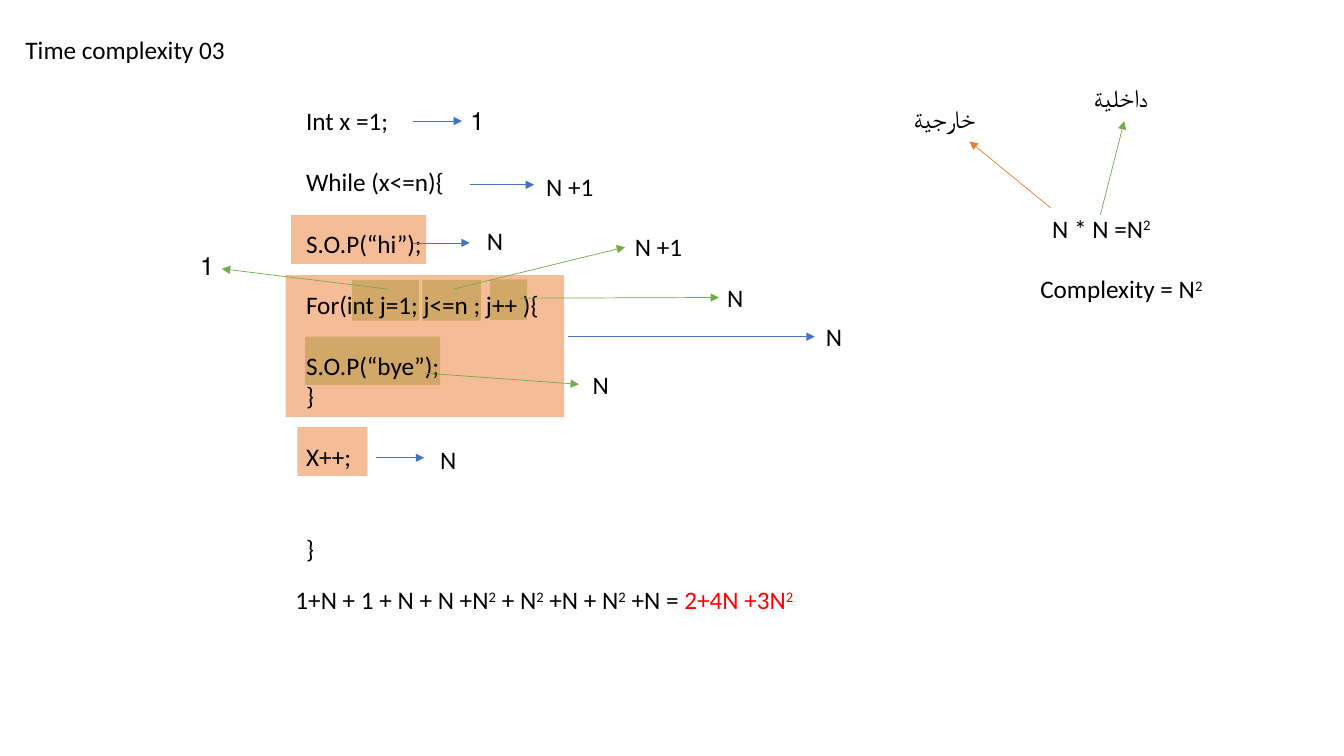
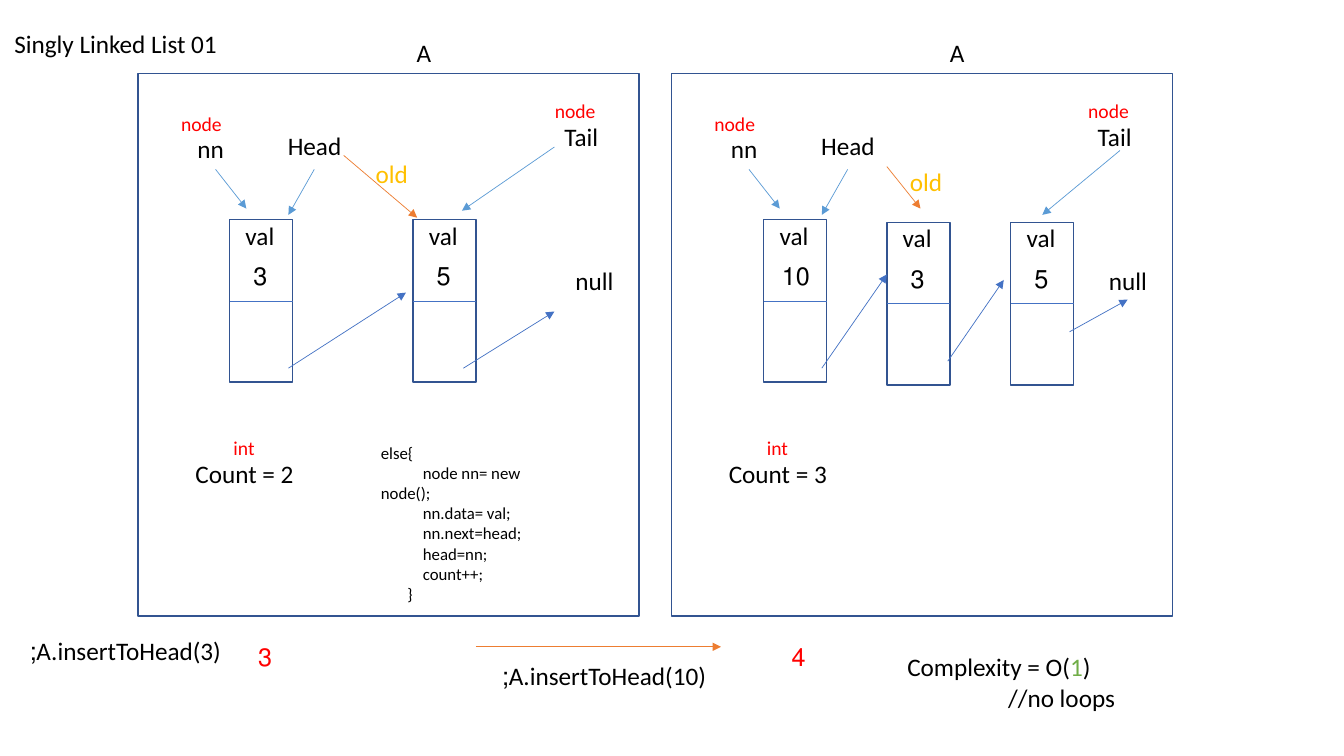
"""Builds two lecture slides: time complexity and insertion in a linked list."""
from lxml import etree
from pptx import Presentation
from pptx.dml.color import RGBColor
from pptx.enum.shapes import MSO_CONNECTOR, MSO_SHAPE
from pptx.enum.text import MSO_ANCHOR, MSO_AUTO_SIZE, PP_ALIGN
from pptx.oxml.ns import qn
from pptx.util import Pt

STRAIGHT = MSO_CONNECTOR.STRAIGHT
RECTANGLE = MSO_SHAPE.RECTANGLE
TOP = MSO_ANCHOR.TOP
GROW = MSO_AUTO_SIZE.SHAPE_TO_FIT_TEXT
NO_FIT = MSO_AUTO_SIZE.NONE
LEFT, RIGHT = PP_ALIGN.LEFT, PP_ALIGN.RIGHT

FONT = "Calibri"
BLACK, RED, WHITE, GOLD = "000000", "FF0000", "FFFFFF", "FFC000"
GREEN, ORANGE, BLUE, SKY, NAVY = "70AD47", "ED7D31", "4472C4", "5B9BD5", "325491"
LINE_HEIGHT = 29

HIGHLIGHTS = [
    (GREEN, (218, 240.5, 96.5, 34.5)),
    (GREEN, (350, 199.5, 26.5, 29)),
    (GREEN, (301.5, 200, 42, 29)),
    (GREEN, (251.5, 200, 48, 29)),
    (ORANGE, (212.5, 305, 50, 35)),
    (ORANGE, (208, 153.5, 96.5, 35)),
    (ORANGE, (204, 196.5, 199, 101.5)),
]
LOOP_CODE = [
    ("Int x =1;", 0),
    ("While (x<=n){", 22),
    ("S.O.P(“hi”);", 22),
    ("For(int j=1; j<=n ; j++ ){", 22),
    ("S.O.P(“bye”);", 22),
    ("}", 0),
    ("X++;", 22),
    ("}", 44),
]
COST_ARROWS = [
    (BLUE, (295, 86.5, 330, 86.5)),
    (BLUE, (335.5, 132, 381.5, 132)),
    (BLUE, (295, 173.5, 335.5, 173.5)),
    (BLUE, (406, 240.5, 582, 240.5)),
    (BLUE, (268.5, 327, 303, 327)),
    (GREEN, (277, 206.5, 158.5, 192)),
    (GREEN, (324, 206.5, 446.5, 176.5)),
    (GREEN, (371.5, 213, 513.5, 212.5)),
    (GREEN, (303, 266.5, 413.5, 274.5)),
    (GREEN, (786, 153.5, 803, 86.5)),
    (ORANGE, (750.5, 148.5, 692.5, 101)),
]
COST_LABELS = [
    ("1", (307.5, 72, 45.5)),
    ("N +1", (361, 119, 70)),
    ("N", (330, 157.5, 36.5)),
    ("N", (276, 314, 57)),
    ("1", (120, 175.5, 40)),
    ("N", (503.5, 198, 34.5)),
    ("N", (399.5, 260.5, 42.5)),
    ("N", (584.5, 226, 24)),
    ("خارجية", (631.5, 70.5, 72)),
    ("داخلية", (745, 55.5, 82)),
]
SQUARE = ("2", BLACK, True)
FORMULAS = [
    ("N * N =N", (744.5, 148.5, 118), [SQUARE]),
    ("Complexity = N", (736, 192, 172), [SQUARE]),
    ("1+N + 1 + N + N +N", (204, 414, 384.5), [
        SQUARE, (" + N", BLACK, False), SQUARE, (" +N + N", BLACK, False), SQUARE,
        (" +N = ", BLACK, False), ("2+4N +3N", RED, False), ("2", RED, True)]),
]

PANEL = (98.5, 52.5, 358, 387.5)
PANEL_STEP = 381
PANEL_LABELS = [
    ("nn", (134, 92, 78), 18, BLACK, False),
    ("Tail", (396, 83, 50), 18, BLACK, False),
    ("Head", (198.5, 89.5, 78), 18, BLACK, False),
    ("null", (404, 186, 52), 18, BLACK, False),
    ("A", (273, 23, 42), 18, BLACK, True),
    ("node", (121, 76.5, 44.5), 14, RED, True),
    ("node", (388, 67, 44.5), 14, RED, True),
    ("int", (144.5, 308, 44.5), 14, RED, True),
]
PANEL_ARROWS = [(154, 121, 176, 149), (224.5, 121, 206, 153.5)]
COUNTS = [("Count = 2", "3"), ("Count = 3", "4")]
CELLS = [
    (164, 157, "3"), (295, 157, "5"),
    (545.5, 157, "10"), (633.5, 159, "3"), (722, 159, "5"),
]
LIST_ARROWS = [
    (SKY, (396, 105, 330, 150.5)),
    (SKY, (800, 107.5, 744.5, 153.5)),
    (BLUE, (206, 263, 290, 209)),
    (BLUE, (331, 263, 396, 222.5)),
    (BLUE, (587, 263, 633.5, 196)),
    (BLUE, (677, 258, 717, 200)),
    (BLUE, (764, 237, 805.5, 214)),
    (ORANGE, (245.5, 111, 298, 155.5)),
    (ORANGE, (633.5, 119, 657.5, 149)),
    (ORANGE, (340, 462, 515, 462)),
]
LIST_LABELS = [
    ("old", (256.5, 109.5, 42), GOLD),
    ("old", (638, 115, 42), GOLD),
    ("A.insertToHead(3);", (-3, 450.5, 168), BLACK),
    ("A.insertToHead(10);", (343.5, 468, 168), BLACK),
]
INSERT_CODE = [
    ("else{", 0),
    ("node nn= new node();", 30),
    ("nn.data= val;", 30),
    ("nn.next=head;", 30),
    ("head=nn;", 30),
    ("count++;", 30),
    ("}", 19),
]


def rgb(value):
    return RGBColor.from_string(value)


def style_span(span, size, colour):
    span.font.name = FONT
    span.font.size = Pt(size)
    span.font.color.rgb = rgb(colour)


def fill_frame(frame, text, size, colour, right_to_left):
    frame.text = text
    frame.word_wrap = True
    frame.vertical_anchor = TOP
    for para in frame.paragraphs:
        para.alignment = RIGHT if right_to_left else LEFT
        if right_to_left:
            para._p.get_or_add_pPr().set("rtl", "1")
        for span in para.runs:
            style_span(span, size, colour)


def add_text(page, place, text, size=18, colour=BLACK, right_to_left=False):
    left, top, width = place
    box = page.shapes.add_textbox(Pt(left), Pt(top), Pt(width), Pt(LINE_HEIGHT))
    fill_frame(box.text_frame, text, size, colour, right_to_left)
    box.text_frame.auto_size = GROW
    return box.text_frame


def add_spans(para, parts):
    for text, colour, raised in parts:
        span = para.add_run()
        span.text = text
        style_span(span, 18, colour)
        if raised:
            span._r.get_or_add_rPr().set("baseline", "30000")


def indent_first_line(para, indent):
    properties = para._p.get_or_add_pPr()
    properties.set("marL", "0")
    properties.set("indent", str(Pt(indent)))


def add_box(page, place, fill=None, line=None, alpha=None):
    box = page.shapes.add_shape(RECTANGLE, *map(Pt, place))
    box.shadow.inherit = False
    if fill:
        box.fill.solid()
        box.fill.fore_color.rgb = rgb(fill)
    else:
        box.fill.background()
    if line:
        box.line.color.rgb = rgb(line)
        box.line.width = Pt(1)
    else:
        box.line.fill.background()
    if alpha:
        colour = box._element.spPr.find(qn("a:solidFill"))[0]
        etree.SubElement(colour, qn("a:alpha")).set("val", str(alpha * 1000))
    return box


def add_line(page, ends, colour, arrow=True):
    line = page.shapes.add_connector(STRAIGHT, *map(Pt, ends))
    line.line.color.rgb = rgb(colour)
    line.line.width = Pt(0.5)
    if arrow:
        etree.SubElement(line.line._get_or_add_ln(), qn("a:tailEnd")).set("type", "triangle")
    etree.SubElement(line._element.spPr, qn("a:effectLst"))
    return line


def add_page(deck, title, left, top):
    page = deck.slides.add_slide(deck.slide_layouts[5])
    heading = page.shapes.title
    heading.left, heading.top = Pt(left), Pt(top)
    heading.width, heading.height = Pt(193), Pt(LINE_HEIGHT)
    fill_frame(heading.text_frame, title, 18, BLACK, False)
    heading.text_frame.auto_size = NO_FIT
    return page


def add_cell(page, left, top, value):
    width, height = 45, 116
    middle = top + height / 2
    cell = add_box(page, (left, top, width, height), WHITE, NAVY)
    divider = add_line(page, (left, middle, left + width, middle), BLUE, arrow=False)
    divider.begin_connect(cell, 1)
    divider.end_connect(cell, 3)
    add_text(page, (left, top - 3.5, 39), "val", right_to_left=True)
    add_text(page, (left, top + 25.5, 28 + 6 * len(value)), value, right_to_left=True)


def build_complexity(deck):
    page = add_page(deck, "Time complexity 03", 11, 21)
    for colour, place in HIGHLIGHTS:
        add_box(page, place, colour, alpha=50)
    code = add_text(page, (211.5, 72, 240), "\n".join(text for text, _ in LOOP_CODE))
    for para, (_, gap) in zip(code.paragraphs, LOOP_CODE):
        para.space_before = Pt(gap)
    for colour, ends in COST_ARROWS:
        add_line(page, ends, colour)
    for text, place in COST_LABELS:
        add_text(page, place, text, right_to_left=True)
    add_text(page, (446.5, 161.5, 57.5), "N +1")
    for text, place, parts in FORMULAS:
        add_spans(add_text(page, place, text).paragraphs[0], parts)


def build_linked_list(deck):
    page = add_page(deck, "Singly Linked List 01", 3, 16.5)
    for index, (count, total) in enumerate(COUNTS):
        shift = index * PANEL_STEP
        add_box(page, (PANEL[0] + shift, *PANEL[1:]), line=NAVY)
        labels = PANEL_LABELS + [
            (count, (132.5, 324, 109), 18, BLACK, False),
            (total, (175.5, 454.5, 26), 18, RED, True),
        ]
        for text, (left, top, width), size, colour, right_to_left in labels:
            add_text(page, (left + shift, top, width), text, size, colour, right_to_left)
        for x1, y1, x2, y2 in PANEL_ARROWS:
            add_line(page, (x1 + shift, y1, x2 + shift, y2), SKY)
    for left, top, value in CELLS:
        add_cell(page, left, top, value)
    for colour, ends in LIST_ARROWS:
        add_line(page, ends, colour)
    for text, place, colour in LIST_LABELS:
        add_text(page, place, text, 18, colour, True)
    code = add_text(page, (265, 312.5, 141), "\n".join(text for text, _ in INSERT_CODE), 12)
    for para, (_, indent) in zip(code.paragraphs, INSERT_CODE):
        indent_first_line(para, indent)
    result = add_text(page, (641, 462, 196.5), "Complexity = O(\n//no loops")
    add_spans(result.paragraphs[0], [("1", GREEN, False), (")", BLACK, False)])
    indent_first_line(result.paragraphs[1], 72)


def main():
    deck = Presentation()
    deck.slide_width, deck.slide_height = Pt(960), Pt(540)
    build_complexity(deck)
    build_linked_list(deck)
    deck.save("out.pptx")


if __name__ == "__main__":
    main()
